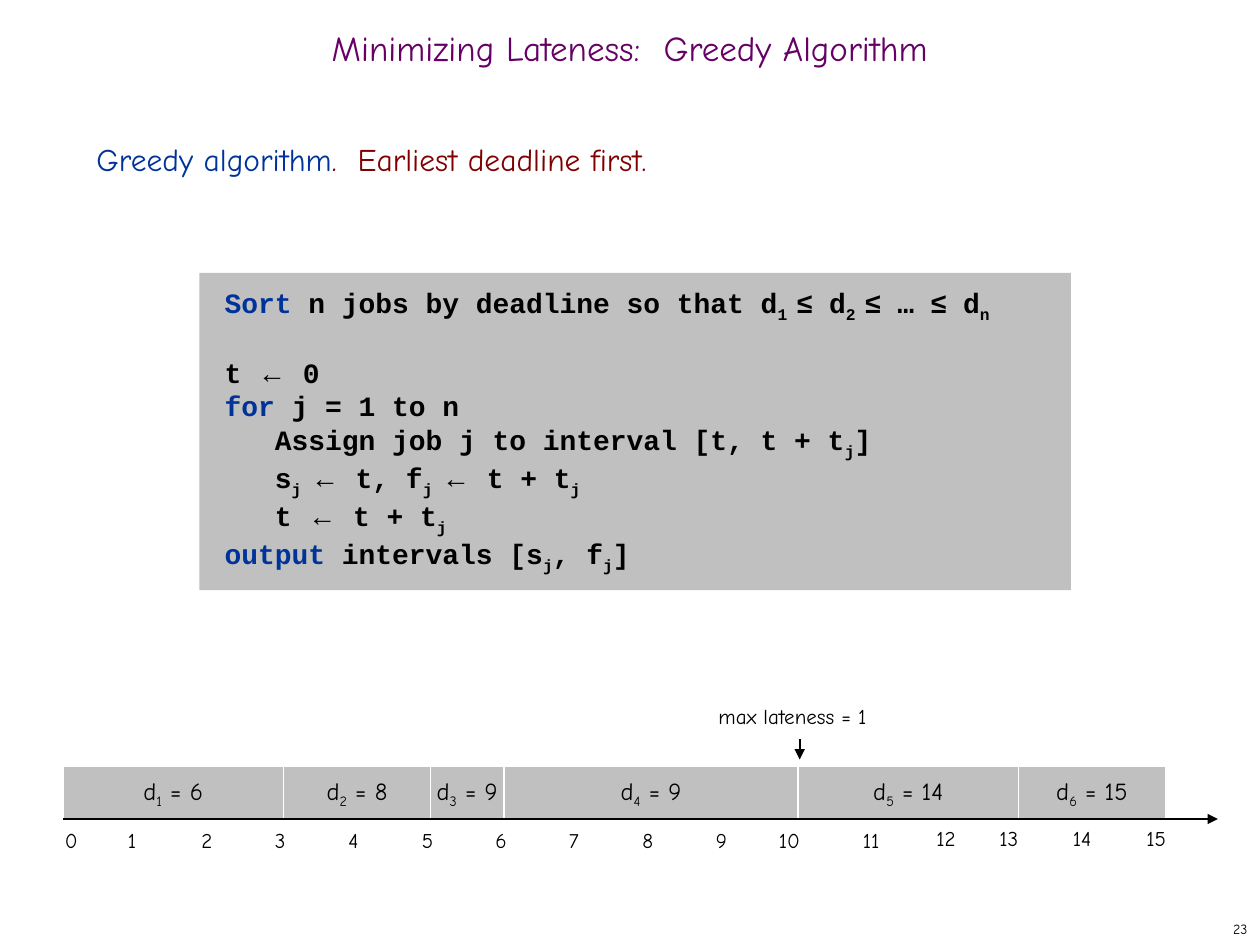
import pptx
import pptx.dml.color
import pptx.enum.shapes
import pptx.enum.text
import pptx.oxml.ns
import pptx.util
from lxml import etree

Pt = pptx.util.Pt
RGBColor = pptx.dml.color.RGBColor
PP_ALIGN = pptx.enum.text.PP_ALIGN
ANCHOR = pptx.enum.text.MSO_ANCHOR
qn = pptx.oxml.ns.qn

BLACK = RGBColor(0, 0, 0)
WHITE = RGBColor(255, 255, 255)
GREY = RGBColor(0xC0, 0xC0, 0xC0)
BLUE = RGBColor(0, 0x33, 0x99)
RED = RGBColor(0x80, 0, 0)
PURPLE = RGBColor(0x66, 0, 0x66)

HAND = "Comic Neue"
MONO = "Courier New"

PLAIN, KEYWORD, SUB, SYMBOL = range(4)

CODE = [
    [(KEYWORD, "Sort"), (PLAIN, " n jobs by deadline so that d"), (SUB, "1 "),
     (SYMBOL, "≤"), (PLAIN, " d"), (SUB, "2 "), (SYMBOL, "≤"), (PLAIN, " … "),
     (SYMBOL, "≤"), (PLAIN, " d"), (SUB, "n")],
    [(PLAIN, "t "), (SYMBOL, "←"), (PLAIN, " 0")],
    [(KEYWORD, "for"), (PLAIN, " j = 1 to n")],
    [(PLAIN, "   Assign job j to interval [t, t + t"), (SUB, "j"), (PLAIN, "]")],
    [(PLAIN, "   s"), (SUB, "j "), (SYMBOL, "←"), (PLAIN, " t, f"), (SUB, "j "),
     (SYMBOL, "←"), (PLAIN, " t + t"), (SUB, "j")],
    [(PLAIN, "   t "), (SYMBOL, "←"), (PLAIN, " t + t"), (SUB, "j")],
    [(KEYWORD, "output"), (PLAIN, " intervals [s"), (SUB, "j"), (PLAIN, ", f"),
     (SUB, "j"), (PLAIN, "]")],
]

JOBS = [(3, 6), (2, 8), (1, 9), (4, 9), (3, 14), (2, 15)]


def add_run(p, text, size, color=BLACK, font=HAND, bold=False, sub=False):
    """Append one styled run to a paragraph."""
    r = p.add_run()
    r.text = text
    r.font.size = Pt(size)
    r.font.name = font
    r.font.bold = bold
    r.font.color.rgb = color
    if sub:
        r._r.get_or_add_rPr().set("baseline", "-25000")


def set_frame(tf, insets=(7.2, 3.6, 7.2, 3.6), anchor=ANCHOR.TOP, wrap=True):
    """Set the insets, anchor and wrapping of a text frame."""
    tf.margin_left, tf.margin_top, tf.margin_right, tf.margin_bottom = map(Pt, insets)
    tf.vertical_anchor = anchor
    tf.word_wrap = wrap


def add_text(s, box, runs, size, align=PP_ALIGN.LEFT, **frame):
    """Add a one-paragraph text box and return its paragraph."""
    tf = s.shapes.add_textbox(*map(Pt, box)).text_frame
    set_frame(tf, **frame)
    p = tf.paragraphs[0]
    p.alignment = align
    for text, color in runs:
        add_run(p, text, size, color)
    return p


def add_rect(s, box, line=None):
    """Add a flat grey rectangle."""
    sp = s.shapes.add_shape(pptx.enum.shapes.MSO_SHAPE.RECTANGLE, *map(Pt, box))
    sp.shadow.inherit = False
    sp.fill.solid()
    sp.fill.fore_color.rgb = GREY
    if line is None:
        sp.line.fill.background()
    else:
        sp.line.color.rgb = line
        sp.line.width = Pt(0.75)
    return sp


def add_arrow(s, x1, y1, x2, y2, width):
    """Add a straight black arrow."""
    sp = s.shapes.add_connector(pptx.enum.shapes.MSO_CONNECTOR.STRAIGHT,
                                *map(Pt, (x1, y1, x2, y2)))
    sp.line.color.rgb = BLACK
    sp.line.width = Pt(width)
    etree.SubElement(sp.line._get_or_add_ln(), qn("a:tailEnd"), type="triangle")
    etree.SubElement(sp._element.spPr, qn("a:effectLst"))


def add_headings(s, width):
    """Add the slide title and the statement below it."""
    p = add_text(s, (0, 12, width, 36),
                 [("Minimizing Lateness:  Greedy Algorithm", PURPLE)], 20,
                 PP_ALIGN.CENTER, anchor=ANCHOR.MIDDLE)
    p.line_spacing = 0.7
    p = add_text(s, (48, 72, 618, 426),
                 [("Greedy algorithm", BLUE), (".  Earliest deadline first.", RED)], 18)
    p.line_spacing = Pt(26)


def add_code(s, box):
    """Add the pseudocode panel."""
    tf = add_rect(s, box).text_frame
    set_frame(tf, insets=(14.4, 7.2, 10.8, 7.2))
    for i, line in enumerate(CODE):
        p = tf.add_paragraph() if i else tf.paragraphs[0]
        p.alignment = PP_ALIGN.LEFT
        if i == 1:
            p.space_before = Pt(18)
        for kind, text in line:
            add_run(p, text, 16, BLUE if kind == KEYWORD else BLACK,
                    "Arial" if kind == SYMBOL else MONO, True, kind == SUB)


def add_schedule(s, left, top, unit, height):
    """Add the job bars, time axis, tick labels and lateness marker."""
    axis = top + height
    start = 0
    for n, (duration, deadline) in enumerate(JOBS, 1):
        box = (left + start * unit, top, duration * unit, height)
        tf = add_rect(s, box, WHITE).text_frame
        set_frame(tf, anchor=ANCHOR.MIDDLE, wrap=False)
        p = tf.paragraphs[0]
        p.alignment = PP_ALIGN.CENTER
        add_run(p, "d", 14)
        add_run(p, str(n), 14, sub=True)
        add_run(p, f" = {deadline}", 14)
        start += duration
    add_arrow(s, left, axis, left + 660, axis, 0.75)

    shifts = {0: 6, 10: 18, 13: 18, 14: 18, 15: 18}
    for t in range(start + 1):
        x = left + t * unit - shifts.get(t, 12)
        y = axis if t >= 12 else axis + 1.5
        add_text(s, (x, y, 36, 21.6), [(str(t), BLACK)], 12)

    add_text(s, (left + 374.5, top - 36, 85, 14.4), [("max lateness = 1", BLACK)], 12,
             insets=(0, 0, 0, 0), wrap=False)
    add_arrow(s, left + 421, top - 15.5, left + 421, top - 4, 1.25)


def main():
    """Build and save the slide."""
    prs = pptx.Presentation()
    prs.slide_width, prs.slide_height = Pt(720), Pt(540)
    s = prs.slides.add_slide(prs.slide_layouts[6])
    add_headings(s, 720)
    add_code(s, (114, 156, 498, 181.25))
    add_schedule(s, 36, 438, 42, 30)
    add_text(s, (570, 522, 150, 18), [("23", BLACK)], 8, PP_ALIGN.RIGHT,
             anchor=ANCHOR.MIDDLE, wrap=False)
    prs.save("out.pptx")


if __name__ == "__main__":
    main()
